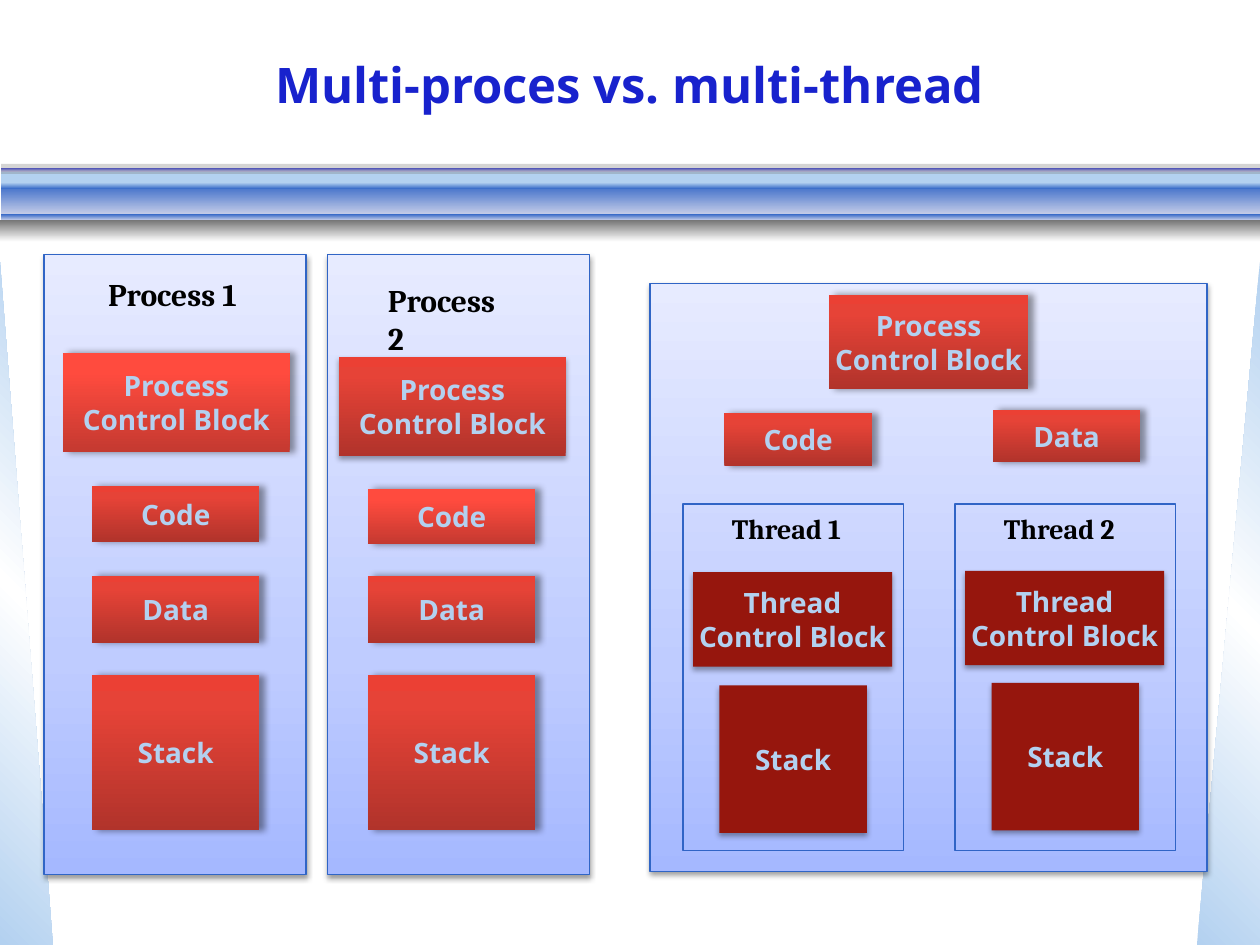
from dataclasses import dataclass
from typing import Any, Optional

import pptx
import pptx.dml.color
import pptx.enum.shapes
import pptx.enum.text
import pptx.oxml.ns
import pptx.util
from lxml import etree

Inches = pptx.util.Inches
Kind = pptx.enum.shapes.MSO_SHAPE
Anchor = pptx.enum.text.MSO_ANCHOR
Align = pptx.enum.text.PP_ALIGN


@dataclass(frozen=True)
class Box:
    left: float
    top: float
    width: float
    height: float

    def lengths(self) -> list:
        return [Inches(v) for v in (self.left, self.top, self.width, self.height)]


@dataclass(frozen=True)
class Shadow:
    opacity: int
    blur: float
    distance: float
    direction: int


@dataclass(frozen=True)
class Look:
    stops: tuple = ()
    angle: int = 90
    opacity: int = 100
    line: Optional[str] = None
    shadow: Optional[Shadow] = None
    flip: bool = False


@dataclass(frozen=True)
class Process:
    name: str
    frame_left: float
    name_box: Box
    control_left: float
    control_top: float
    code_top: float
    control_look: Look
    code_look: Look


@dataclass(frozen=True)
class Thread:
    name: str
    left: float
    control_top: float
    stack_top: float


SIDE = Shadow(40, 4, 3, 0)
DROP = Shadow(35, 3.1, 1.8, 90)
RED = ((0, "B1332B"), (80, "E64337"), (100, "EB4034"))
BRIGHT = ((0, "C43930"), (80, "FF4B3E"), (100, "FF4C3F"))
SIDE_RED = Look(RED, 270, shadow=SIDE)
DROP_RED = Look(RED, 270, shadow=DROP)
SIDE_BRIGHT = Look(BRIGHT, 270, shadow=SIDE)
THREAD_RED = Look(((0, "96160D"),), shadow=DROP)
PANEL = Look(((0, "A5B8FF"), (35, "BFCCFF"), (100, "E7EBFF")), 270,
             line="3065C6", shadow=Shadow(38, 3.1, 1.6, 90))
THREAD_FRAME = Look(line="3064C6")

EDGE = ((0, "B3D1F0"), (50, "FFFFFF"), (100, "B3D1F0"))
BANNER = [
    (Box(0.01, 1.36, 9.99, 0.1), Look(((0, "B3D1F0"),))),
    (Box(0.01, 1.46, 9.99, 0.25), Look(((0, "3568C7"), (100, "CAD0E9")))),
    (Box(0.01, 1.33, 9.99, 0.03), Look(((0, "1822CD"), (100, "BABBE7")))),
    (Box(0.01, 1.7, 9.99, 0.05), Look(((0, "3568C7"), (100, "CAD0E9")))),
    (Box(0.01, 1.45, 9.99, 0.05), Look(((0, "B3D1F0"), (100, "3568C7")))),
    (Box(0, 1.75, 10, 0.17), Look(((0, "777777"), (100, "FFFFFF")))),
    (Box(0.01, 1.3, 9.99, 0.08), Look(((0, "777777"),), opacity=31)),
]
PROCESSES = [
    Process("Process 1", 0.35, Box(0.76, 2.13, 1.27, 0.4), 0.5, 2.8, 3.86,
            SIDE_BRIGHT, SIDE_RED),
    Process("Process 2", 2.6, Box(2.98, 2.18, 1.22, 0.4), 2.69, 2.83, 3.88,
            DROP_RED, SIDE_BRIGHT),
]
THREADS = [Thread("Thread 1", 5.42, 4.54, 5.44), Thread("Thread 2", 7.58, 4.53, 5.42)]


def font_format(size: int, name: str, color: str) -> dict:
    return {"size": pptx.util.Pt(size), "name": name, "bold": True, "color": color}


TITLE_FONT = font_format(28, "Open Sans", "1822CD")
BLOCK_FONT = font_format(16, "Open Sans", "B3D1F0")
PROCESS_FONT = font_format(18, "Cambria", "000000")
THREAD_FONT = font_format(16, "Cambria", "000000")


def rgb(color: str) -> pptx.dml.color.RGBColor:
    return pptx.dml.color.RGBColor.from_string(color)


def node(parent: Any, tag: str, **values: Any) -> Any:
    return etree.SubElement(parent, pptx.oxml.ns.qn(tag), {k: str(v) for k, v in values.items()})


def color_node(parent: Any, color: str, opacity: int = 100) -> None:
    tint = node(parent, "a:srgbClr", val=color)
    if opacity < 100:
        node(tint, "a:alpha", val=opacity * 1000)


def paint(shape: Any, look: Look) -> None:
    properties = shape.element.spPr
    if not look.stops:
        shape.fill.background()
    elif len(look.stops) == 1:
        shape.fill.solid()
        shape.fill.fore_color.rgb = rgb(look.stops[0][1])
        if look.opacity < 100:
            tint = properties.find(".//" + pptx.oxml.ns.qn("a:srgbClr"))
            node(tint, "a:alpha", val=look.opacity * 1000)
    else:
        shape.fill.gradient()
        shape.fill.gradient_angle = (360 - look.angle) % 360
        stops = properties.find(".//" + pptx.oxml.ns.qn("a:gsLst"))
        for stop in list(stops):
            stops.remove(stop)
        for position, color in look.stops:
            color_node(node(stops, "a:gs", pos=position * 1000), color)
    if look.line:
        shape.line.color.rgb = rgb(look.line)
        shape.line.width = pptx.util.Pt(0.75)
    else:
        shape.line.fill.background()
    shape.shadow.inherit = False
    if look.shadow:
        effects = properties.find(pptx.oxml.ns.qn("a:effectLst"))
        cast = node(effects, "a:outerShdw", blurRad=int(pptx.util.Pt(look.shadow.blur)),
                    dist=int(pptx.util.Pt(look.shadow.distance)),
                    dir=look.shadow.direction * 60000, rotWithShape=0)
        color_node(cast, "000000", look.shadow.opacity)
    if look.flip:
        properties.xfrm.set("flipH", "1")


def write(frame: Any, text: str, font: dict, align: Any, **frame_format: Any) -> None:
    for key, value in frame_format.items():
        setattr(frame, key, value)
    frame.text = text
    for paragraph in frame.paragraphs:
        paragraph.alignment = align
        for key, value in font.items():
            if key == "color":
                paragraph.runs[0].font.color.rgb = rgb(value)
            else:
                setattr(paragraph.runs[0].font, key, value)


def draw(slide: Any, box: Box, look: Look, text: str = "", kind: Any = Kind.RECTANGLE) -> None:
    shape = slide.shapes.add_shape(kind, *box.lengths())
    paint(shape, look)
    if text:
        write(shape.text_frame, text, BLOCK_FONT, Align.CENTER,
              word_wrap=False, vertical_anchor=Anchor.MIDDLE)


def label(slide: Any, box: Box, text: str, font: dict) -> None:
    frame = slide.shapes.add_textbox(*box.lengths()).text_frame
    write(frame, text, font, Align.LEFT, word_wrap=True,
          auto_size=pptx.enum.text.MSO_AUTO_SIZE.SHAPE_TO_FIT_TEXT)


def draw_process(slide: Any, process: Process) -> None:
    left = process.control_left + 0.23
    draw(slide, Box(process.frame_left, 2.02, 2.08, 4.92), PANEL)
    draw(slide, Box(process.control_left, process.control_top, 1.8, 0.79),
         process.control_look, "Process\nControl Block")
    draw(slide, Box(left, process.code_top, 1.33, 0.44), process.code_look, "Code")
    draw(slide, Box(left, 4.57, 1.33, 0.53), SIDE_RED, "Data")
    draw(slide, Box(left, 5.36, 1.33, 1.23), SIDE_RED, "Stack")
    label(slide, process.name_box, process.name, PROCESS_FONT)


def draw_thread(slide: Any, thread: Thread) -> None:
    inner = thread.left + 0.29
    draw(slide, Box(inner, thread.stack_top, 1.17, 1.17), THREAD_RED, "Stack")
    draw(slide, Box(thread.left + 0.08, thread.control_top, 1.58, 0.75),
         THREAD_RED, "Thread\nControl Block")
    draw(slide, Box(thread.left, 4, 1.75, 2.75), THREAD_FRAME)
    label(slide, Box(inner, 4.01, 1.17, 0.37), thread.name, THREAD_FONT)


def main() -> None:
    deck = pptx.Presentation()
    deck.slide_width, deck.slide_height = Inches(10), Inches(7.5)
    slide = deck.slides.add_slide(deck.slide_layouts[5])
    title = slide.shapes.title
    title.left, title.top, title.width, title.height = Box(0.12, 0.08, 9.75, 1.17).lengths()
    write(title.text_frame, "Multi-proces vs. multi-thread", TITLE_FONT, Align.CENTER,
          vertical_anchor=Anchor.MIDDLE)
    draw(slide, Box(0, 2.08, 0.42, 5.42), Look(EDGE, 315), kind=Kind.RIGHT_TRIANGLE)
    draw(slide, Box(9.5, 2.08, 0.5, 5.42), Look(EDGE, 45, flip=True), kind=Kind.RIGHT_TRIANGLE)
    for box, look in BANNER:
        draw(slide, box, look)
    draw(slide, Box(5.16, 2.25, 4.42, 4.67), PANEL)
    for process in PROCESSES:
        draw_process(slide, process)
    draw(slide, Box(6.58, 2.34, 1.58, 0.75), SIDE_RED, "Process\nControl Block")
    draw(slide, Box(5.75, 3.28, 1.17, 0.42), SIDE_RED, "Code")
    draw(slide, Box(7.88, 3.25, 1.17, 0.42), SIDE_RED, "Data")
    for thread in THREADS:
        draw_thread(slide, thread)
    deck.save("out.pptx")


if __name__ == "__main__":
    main()
